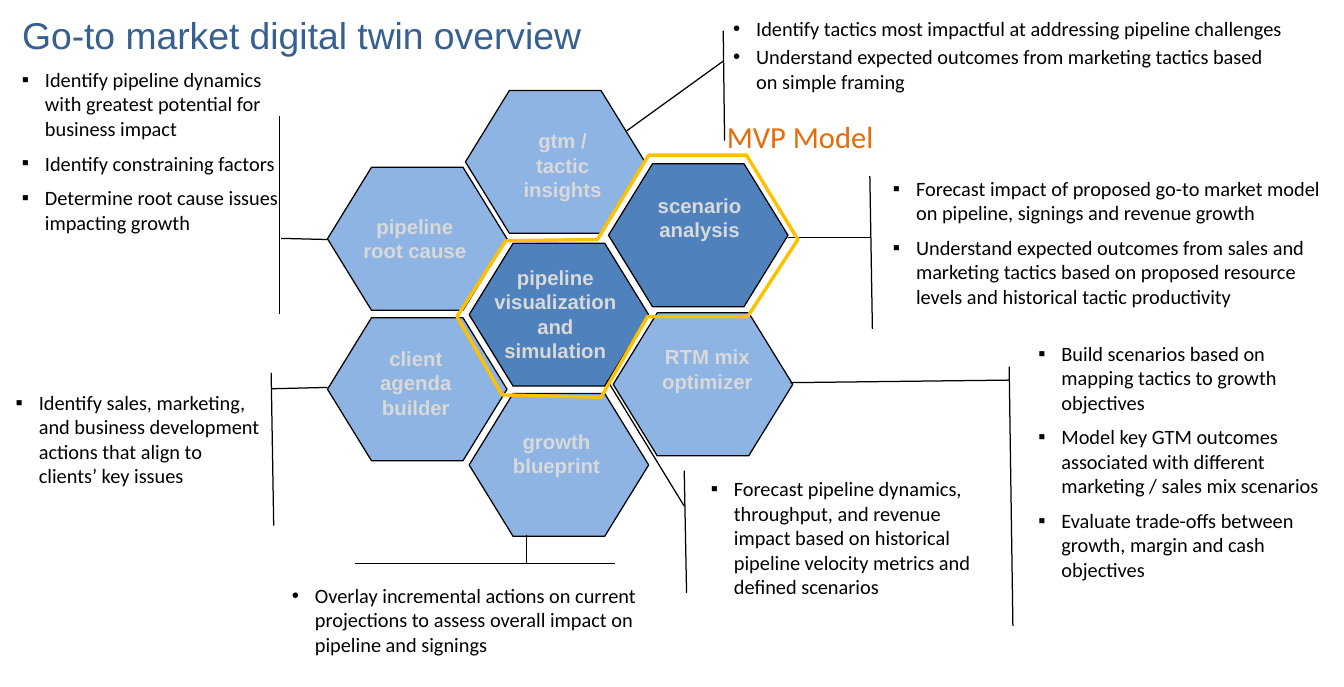
"""Build the go-to market digital twin overview slide."""
from lxml import etree
from pptx import Presentation
from pptx.dml.color import RGBColor
from pptx.enum.shapes import MSO_CONNECTOR, MSO_SHAPE
from pptx.enum.text import MSO_ANCHOR, MSO_AUTO_SIZE, PP_ALIGN
from pptx.oxml.ns import qn
from pptx.util import Pt

HEXAGON, STRAIGHT = MSO_SHAPE.HEXAGON, MSO_CONNECTOR.STRAIGHT
LEFT, CENTER = PP_ALIGN.LEFT, PP_ALIGN.CENTER
MIDDLE, TOP = MSO_ANCHOR.MIDDLE, MSO_ANCHOR.TOP
NO_FIT = MSO_AUTO_SIZE.NONE

THEME = {
    "heading": "Arial", "body": "Calibri",
    "title_size": 22, "tag_size": 18, "text_size": 12,
    "title": "376092", "tag": "E46C0A", "label": "D9D9D9", "black": "000000",
    "white": "FFFFFF", "light": "8EB4E3", "dark": "4F81BD", "gold": "FFC000",
    "thin": 0.75, "thick": 2, "indent": 13.6,
}

TITLE = ("Go-to market digital twin overview", (5.8, 4.3, 383, 32.4))
TAG = ("MVP Model", (421.2, 66.2, 102.2, 28.8))
HEX_SIZE = (105.8, 84.2)
HEXAGONS = [
    ("growth\vblueprint", "light", (276.5, 231.8), (285.1, 249.1, 85.7, 36)),
    ("pipeline visualization and simulation", "dark", (276.5, 143.3), (280.1, 152.6, 94.3, 65.5)),
    ("gtm /\vtactic\vinsights", "light", (274.3, 53.3), (284.4, 72, 94.3, 51.1)),
    ("client agenda builder", "light", (193, 187.2), (203, 200.2, 84.2, 51.1)),
    ("pipeline root cause", "light", (193, 98.6), (201.6, 122.4, 85.7, 36)),
    ("scenario analysis", "dark", (358.6, 96.5), (369.4, 110.2, 85.7, 36)),
    ("RTM mix optimizer", "light", (361.4, 184.3), (373.7, 199.4, 86.4, 36)),
]
TACTICS = ("•", (424.8, 5.8, 340.6, 85.7), [
    "Identify tactics most impactful at addressing pipeline challenges",
    "Understand expected outcomes from marketing tactics based on simple framing",
])
NOTES = [
    ("▪", (519.1, 100.1, 270, 95), [
        "Forecast impact of proposed go-to market model on pipeline, signings and revenue growth",
        "Understand expected outcomes from sales and marketing tactics based on proposed "
        "resource levels and historical tactic productivity",
    ]),
    ("▪", (604.8, 197.3, 185, 202.3), [
        "Build scenarios based on mapping tactics to growth objectives",
        "Model key GTM outcomes associated with different marketing / sales mix scenarios",
        "Evaluate trade-offs between growth, margin and cash objectives",
    ]),
    ("▪", (411.8, 277.2, 181.4, 91.4), [
        "Forecast pipeline dynamics, throughput, and revenue impact based on historical "
        "pipeline velocity metrics and defined scenarios",
    ]),
    ("▪", (2.2, 226.1, 161.3, 108.7), [
        "Identify sales, marketing, and business development actions that align to "
        "clients’ key issues",
    ]),
    ("▪", (5.8, 36, 165.6, 180.7), [
        "Identify pipeline dynamics with greatest potential for business impact",
        "Identify constraining factors",
        "Determine root cause issues impacting growth",
    ]),
    ("•", (164.9, 339.8, 235.4, 58.3), [
        "Overlay incremental actions on current projections to assess overall impact on "
        "pipeline and signings",
    ]),
]
SPACING = {"•": 2.4, "▪": 6}
LINES = [
    (426.2, 18, 427, 82.8), (426.2, 36, 369.4, 77),
    (512.6, 103.7, 514.1, 193.7), (513.4, 139.7, 464.4, 139.7),
    (594.7, 216, 596.9, 368.6), (594.7, 223.9, 465.8, 225.4),
    (310.3, 315.4, 310.3, 331.9), (362.2, 331.9, 209.5, 331.9),
    (357.8, 223.9, 403.2, 298.1), (403.2, 277.2, 404.6, 349.2),
    (164.9, 68.4, 164.9, 185), (193, 141.1, 165.6, 140.4),
    (159.8, 219.6, 161.3, 309.6), (193, 228.2, 159.8, 229),
]
MVP_OUTLINE = [
    (269.3, 186.5), (298.1, 141.8), (352.1, 141.1), (382.3, 91.4), (439.9, 91.4),
    (470.2, 141.1), (440.6, 186.5), (381.6, 186.5), (354.2, 234), (295.9, 232.6),
]


def color(name):
    return RGBColor.from_string(THEME[name])


def place(sp, box):
    sp.left, sp.top, sp.width, sp.height = map(Pt, box)


def write(sp, lines, font, size, ink, bold=False, align=LEFT, anchor=TOP, wrap=True):
    tf = sp.text_frame
    tf.text = "\n".join(lines)
    tf.auto_size, tf.word_wrap, tf.vertical_anchor = NO_FIT, wrap, anchor
    for p in tf.paragraphs:
        p.alignment = align
        for r in p.runs:
            r.font.name, r.font.size, r.font.bold = THEME[font], Pt(THEME[size]), bold
            r.font.color.rgb = color(ink)


def add_text(s, box, *args, **kwargs):
    write(s.shapes.add_textbox(*map(Pt, box)), *args, **kwargs)


def write_bullets(sp, mark, lines):
    write(sp, lines, "body", "text_size", "black")
    for i, p in enumerate(sp.text_frame.paragraphs):
        p.space_before = Pt(SPACING[mark] if i else 0)
        pPr = p._p.get_or_add_pPr()
        pPr.set("marL", str(Pt(THEME["indent"])))
        pPr.set("indent", str(-Pt(THEME["indent"])))
        etree.SubElement(pPr, qn("a:buFont")).set("typeface", THEME["heading"])
        etree.SubElement(pPr, qn("a:buChar")).set("char", mark)


def add_hexagon(s, label, fill, corner, label_box):
    sp = s.shapes.add_shape(HEXAGON, *map(Pt, corner + HEX_SIZE))
    sp.adjustments[0] = 0.308
    sp.shadow.inherit = False
    sp.fill.solid()
    sp.fill.fore_color.rgb = color(fill)
    sp.line.color.rgb, sp.line.width = color("black"), Pt(THEME["thin"])
    add_text(s, label_box, [label], "heading", "text_size", "label", bold=True, align=CENTER)


def add_line(s, ends):
    line = s.shapes.add_connector(STRAIGHT, *map(Pt, ends))
    line.line.color.rgb, line.line.width = color("black"), Pt(THEME["thin"])
    etree.SubElement(line._element.spPr, qn("a:effectLst"))


def add_outline(s, points):
    start, *rest = [(Pt(x), Pt(y)) for x, y in points]
    builder = s.shapes.build_freeform(*start)
    builder.add_line_segments(rest, close=True)
    sp = builder.convert_to_shape()
    sp.shadow.inherit = False
    sp.fill.background()
    sp.line.color.rgb, sp.line.width = color("gold"), Pt(THEME["thick"])


def main():
    prs = Presentation()
    prs.slide_width, prs.slide_height = Pt(792), Pt(404.64)
    s = prs.slides.add_slide(prs.slide_layouts[1])

    text, box = TITLE
    place(s.shapes.title, box)
    write(s.shapes.title, [text], "heading", "title_size", "title", anchor=MIDDLE)

    mark, box, lines = TACTICS
    body = s.placeholders[1]
    place(body, box)
    body.fill.solid()
    body.fill.fore_color.rgb = color("white")
    write_bullets(body, mark, lines)

    for hexagon in HEXAGONS:
        add_hexagon(s, *hexagon)
    for ends in LINES:
        add_line(s, ends)
    for mark, box, lines in NOTES:
        write_bullets(s.shapes.add_textbox(*map(Pt, box)), mark, lines)
    add_outline(s, MVP_OUTLINE)
    text, box = TAG
    add_text(s, box, [text], "body", "tag_size", "tag", wrap=False)
    prs.save("out.pptx")


if __name__ == "__main__":
    main()
